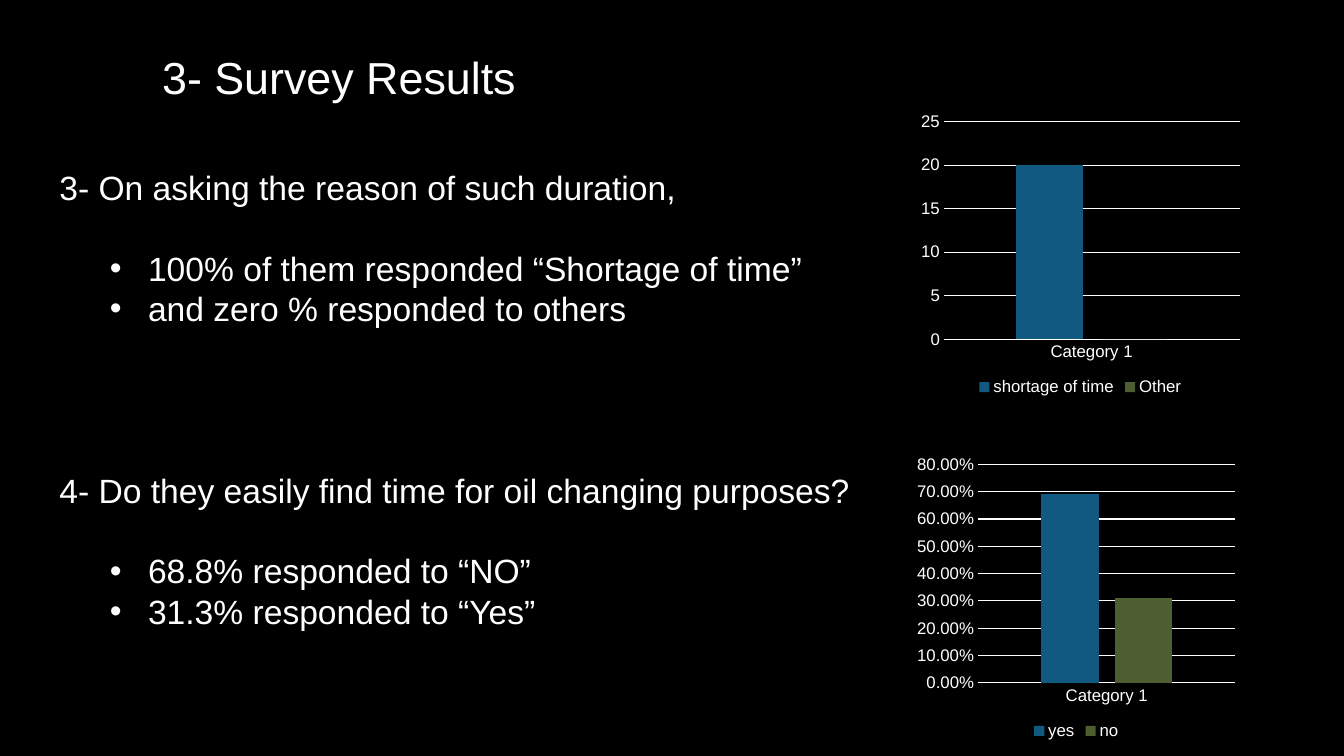
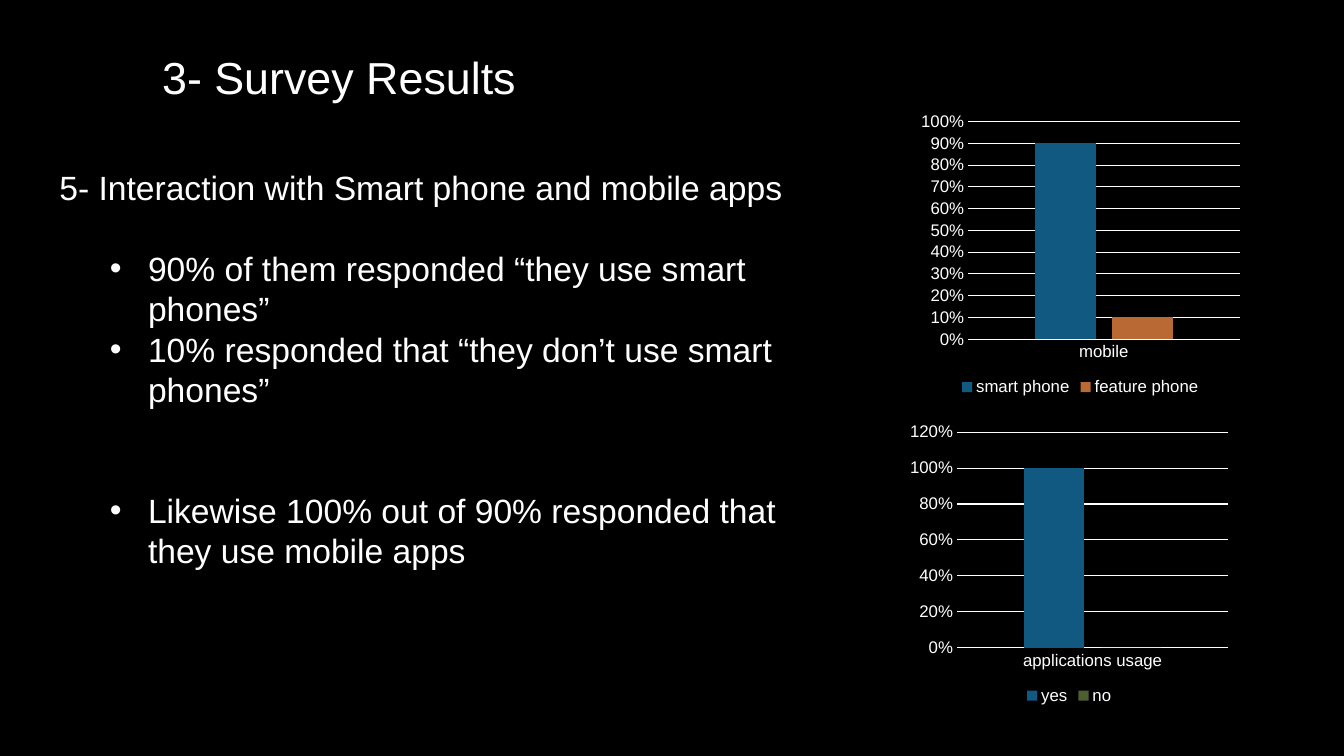
from lxml.etree import SubElement
from pptx import Presentation
from pptx.chart.data import CategoryChartData
from pptx.dml.color import RGBColor
from pptx.enum.chart import XL_CHART_TYPE, XL_LEGEND_POSITION, XL_TICK_MARK
from pptx.oxml.ns import qn
from pptx.util import Inches, Pt

BLACK = RGBColor(0x00, 0x00, 0x00)
WHITE = RGBColor(0xFF, 0xFF, 0xFF)
BLUE = RGBColor(0x11, 0x59, 0x81)
GREEN = RGBColor(0x4D, 0x5E, 0x31)
ORANGE = RGBColor(0xB9, 0x69, 0x34)
FONT = "Arial"
TITLE = "3- Survey Results"
TITLE_BOX = (1.51, 0.5, 9.83, 1.1)
BODY_LEFT = 0.49
BODY_LINE = 28.8
BULLET_LEFT, BULLET_HANG = 0.88, 0.38

SLIDES = [
    {
        "texts": [
            {
                "box": (BODY_LEFT, 1.61, 8.12, 1.72),
                "question": "3- On asking the reason of such duration,",
                "answers": [
                    ("100% of them responded “Shortage of time”", 1),
                    ("and zero % responded to others", 0),
                ],
            },
            {
                "box": (BODY_LEFT, 4.61, 8.12, 1.72),
                "question": "4- Do they easily find time for oil changing purposes?",
                "answers": [
                    ("68.8% responded to “NO”", 1),
                    ("31.3% responded to “Yes”", 0),
                ],
            },
        ],
        "charts": [
            {
                "box": (9.07, 1.06, 3.29, 2.91),
                "category": "Category 1",
                "number_format": "General",
                "series": [("shortage of time", 20, BLUE), ("Other", 0, GREEN)],
            },
            {
                "box": (9.03, 4.46, 3.29, 2.92),
                "category": "Category 1",
                "number_format": "0.00%",
                "series": [("yes", 0.69, BLUE), ("no", 0.31, GREEN)],
            },
        ],
    },
    {
        "texts": [
            {
                "box": (BODY_LEFT, 1.61, 8.01, 4.14),
                "question": "5- Interaction with Smart phone and mobile apps",
                "answers": [
                    ("90% of them responded “they use smart phones”", 1),
                    ("10% responded that “they don’t use smart phones”", 0),
                    ("Likewise 100% out of 90% responded that they use mobile apps", 2),
                ],
            },
        ],
        "charts": [
            {
                "box": (9.07, 1.06, 3.29, 2.91),
                "category": "mobile",
                "number_format": "0%",
                "series": [("smart phone", 0.9, BLUE), ("feature phone", 0.1, ORANGE)],
            },
            {
                "box": (8.96, 4.14, 3.29, 2.89),
                "category": "applications usage",
                "number_format": "0%",
                "series": [("yes", 1, BLUE), ("no", 0, GREEN)],
            },
        ],
    },
]


def style_font(font, size):
    font.name = FONT
    font.size = Pt(size)
    font.color.rgb = WHITE


def add_text_frame(slide, box):
    text_frame = slide.shapes.add_textbox(*map(Inches, box)).text_frame
    text_frame.word_wrap = True
    return text_frame


def write_paragraph(paragraph, text, size=24, line_spacing=Pt(BODY_LINE), lines_before=0, bullet=False):
    if lines_before:
        paragraph.space_before = Pt(lines_before * BODY_LINE)
    paragraph.line_spacing = line_spacing
    if bullet:
        properties = paragraph._p.get_or_add_pPr()
        properties.set("marL", str(Inches(BULLET_LEFT)))
        properties.set("indent", str(-Inches(BULLET_HANG)))
        SubElement(properties, qn("a:buFont"), typeface=FONT)
        SubElement(properties, qn("a:buChar"), char="•")
    run = paragraph.add_run()
    run.text = text
    style_font(run.font, size)


def add_title(slide):
    text_frame = add_text_frame(slide, TITLE_BOX)
    write_paragraph(text_frame.paragraphs[0], TITLE, size=32, line_spacing=0.9)


def add_answers(slide, box, question, answers):
    text_frame = add_text_frame(slide, box)
    write_paragraph(text_frame.paragraphs[0], question)
    for answer, lines_before in answers:
        write_paragraph(text_frame.add_paragraph(), answer, lines_before=lines_before, bullet=True)


def add_column_chart(slide, box, category, number_format, series):
    data = CategoryChartData(number_format=number_format)
    data.categories = [category]
    for name, value, _ in series:
        data.add_series(name, [value])
    chart = slide.shapes.add_chart(
        XL_CHART_TYPE.COLUMN_CLUSTERED, *map(Inches, box), data
    ).chart
    style_font(chart.font, 12)
    chart.has_title = False
    chart.has_legend = True
    chart.legend.position = XL_LEGEND_POSITION.BOTTOM
    chart.legend.include_in_layout = False
    style_font(chart.legend.font, 12)

    plot = chart.plots[0]
    plot.gap_width = 219
    plot.overlap = -27
    plot.vary_by_categories = False
    for column, (_, _, color) in zip(plot.series, series):
        column.format.fill.solid()
        column.format.fill.fore_color.rgb = color

    value_axis, category_axis = chart.value_axis, chart.category_axis
    for axis in (value_axis, category_axis):
        axis.major_tick_mark = XL_TICK_MARK.NONE
        axis.minor_tick_mark = XL_TICK_MARK.NONE
        style_font(axis.tick_labels.font, 12)
    value_axis.tick_labels.number_format = number_format
    value_axis.tick_labels.number_format_is_linked = False
    value_axis.format.line.fill.background()
    value_axis.has_major_gridlines = True
    for line in (value_axis.major_gridlines.format.line, category_axis.format.line):
        line.color.rgb = WHITE
        line.width = Pt(0.75)


def main():
    presentation = Presentation()
    presentation.slide_width = Inches(13.33)
    presentation.slide_height = Inches(7.5)
    background = presentation.slide_master.background.fill
    background.solid()
    background.fore_color.rgb = BLACK
    for content in SLIDES:
        slide = presentation.slides.add_slide(presentation.slide_layouts[6])
        add_title(slide)
        for text in content["texts"]:
            add_answers(slide, **text)
        for chart in content["charts"]:
            add_column_chart(slide, **chart)
    presentation.save("out.pptx")


if __name__ == "__main__":
    main()
